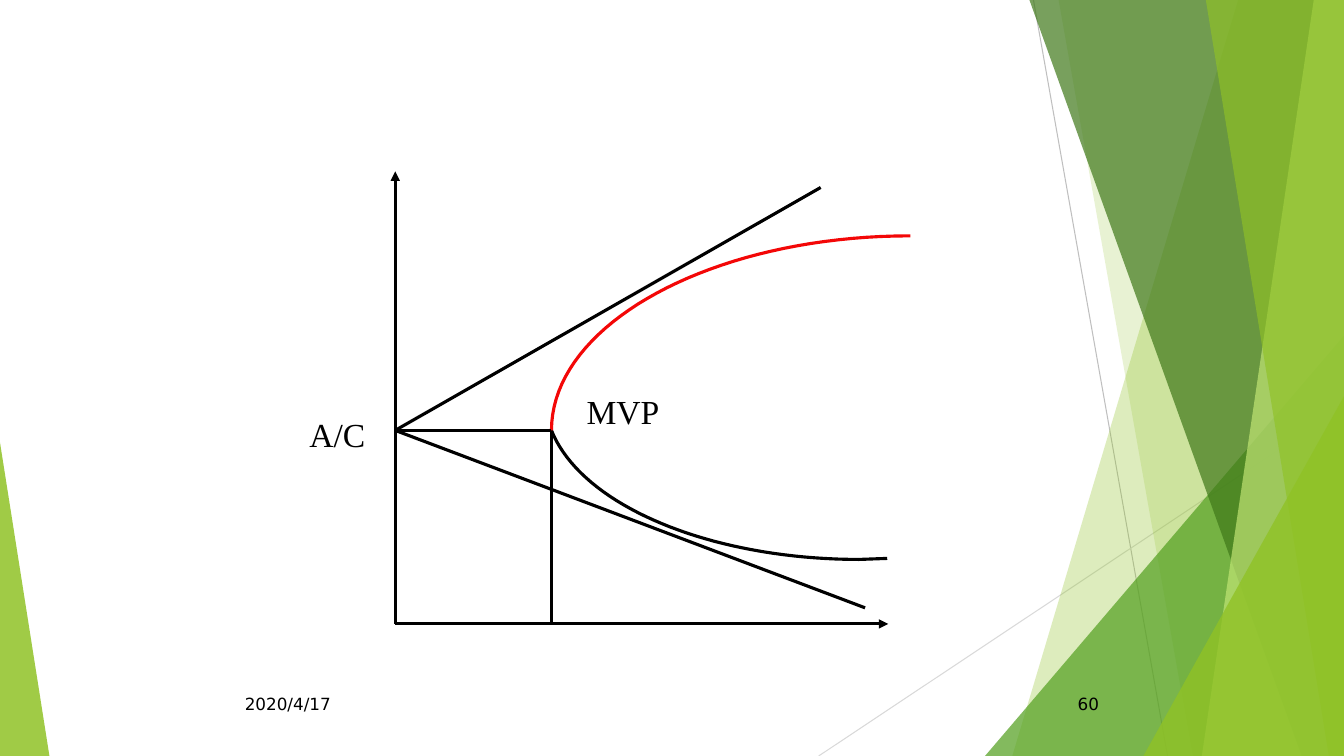
from lxml import etree
from pptx import Presentation
from pptx.dml.color import RGBColor
from pptx.enum.shapes import MSO_CONNECTOR, MSO_SHAPE
from pptx.enum.text import MSO_AUTO_SIZE, PP_ALIGN
from pptx.oxml.ns import qn
from pptx.util import Inches, Pt

STRAIGHT = MSO_CONNECTOR.STRAIGHT
TRIANGLE = MSO_SHAPE.ISOSCELES_TRIANGLE
FIT, FIXED = MSO_AUTO_SIZE.SHAPE_TO_FIT_TEXT, MSO_AUTO_SIZE.NONE
LEFT, RIGHT, JUSTIFY = PP_ALIGN.LEFT, PP_ALIGN.RIGHT, PP_ALIGN.JUSTIFY
SANS, SERIF = "DejaVu Sans", "Times New Roman"
COLORS = {
    "black": "000000", "red": "F30707", "grey": "BFBFBF", "pale": "D9D9D9",
    "lime": "90C226", "green": "54A021", "dark": "3F7819", "light": "C0E474",
}
WIDE, HIGH = 13.33, 7.5
STEPS = 40


def tint(name):
    """Return the named colour."""
    return RGBColor.from_string(COLORS[name])


def paint(shape, name, alpha):
    """Fill a shape with a see-through colour and no outline."""
    shape.shadow.inherit = False
    shape.line.fill.background()
    shape.fill.solid()
    shape.fill.fore_color.rgb = tint(name)
    color = shape.fill._xPr.find(qn("a:solidFill"))[0]
    etree.SubElement(color, qn("a:alpha")).set("val", str(alpha * 1000))


def add_line(slide, start, end, name="black", width=2.25, arrow=False):
    """Draw a straight line, with an arrowhead at its end if asked."""
    ends = [Inches(v) for v in (*start, *end)]
    line = slide.shapes.add_connector(STRAIGHT, *ends)
    line.line.color.rgb = tint(name)
    line.line.width = Pt(width)
    if arrow:
        tail = etree.SubElement(line.line._get_or_add_ln(), qn("a:tailEnd"))
        tail.set("type", "triangle")
    etree.SubElement(line._element.spPr, qn("a:effectLst"))


def add_path(slide, points, closed):
    """Build an outline through the points."""
    spots = [(Inches(x), Inches(y)) for x, y in points]
    pen = slide.shapes.build_freeform(*spots[0])
    pen.add_line_segments(spots[1:], close=closed)
    shape = pen.convert_to_shape()
    shape.shadow.inherit = False
    return shape


def add_band(slide, top, foot, name, alpha, right=WIDE):
    """Draw a band from a slanted left side to the slide's right edge."""
    points = [(top, 0), (right, 0), (right, HIGH), (foot, HIGH)]
    paint(add_path(slide, points, True), name, alpha)


def add_wedge(slide, left, top, width, apex, name, alpha):
    """Draw a right triangle standing on the slide's bottom edge."""
    box = [Inches(v) for v in (left, top, width, HIGH - top)]
    shape = slide.shapes.add_shape(TRIANGLE, *box)
    shape.adjustments[0] = apex
    paint(shape, name, alpha)


def bezier(a, b, c, d):
    """Return points along a cubic curve."""
    points = []
    for step in range(STEPS + 1):
        t = step / STEPS
        u = 1 - t
        parts = (u ** 3, 3 * u * u * t, 3 * u * t * t, t ** 3)
        points.append(tuple(
            sum(k * p[axis] for k, p in zip(parts, (a, b, c, d)))
            for axis in (0, 1)))
    return points


def add_curve(slide, points, name):
    """Draw an open curve."""
    shape = add_path(slide, points, False)
    shape.fill.background()
    shape.line.color.rgb = tint(name)
    shape.line.width = Pt(2.25)


def add_text(slide, text, box, size, font, align, wrap=True):
    """Place one line of text."""
    shape = slide.shapes.add_textbox(*[Inches(v) for v in box])
    frame = shape.text_frame
    frame.word_wrap = wrap
    frame.auto_size = FIXED if wrap else FIT
    para = frame.paragraphs[0]
    para.alignment = align
    run = para.add_run()
    run.text = text
    run.font.size = Pt(size)
    run.font.name = font
    run.font.color.rgb = tint("black")


def add_decor(slide):
    """Draw the green facets at both edges."""
    add_line(slide, (10.25, 0), (11.58, HIGH), "grey", 0.75)
    add_line(slide, (WIDE, 4.03), (8.12, HIGH), "pale", 0.75)
    add_band(slide, 12.28, 10.04, "lime", 30)
    add_band(slide, 10.5, 11.83, "lime", 20)
    add_wedge(slide, 9.77, 3.33, 3.56, 1, "green", 72)
    add_band(slide, 10.21, 12.91, "dark", 70)
    add_band(slide, 13.03, 11.92, "light", 70)
    add_band(slide, 11.96, 13.18, "lime", 65)
    add_wedge(slide, 11.34, 3.93, 1.99, 1, "lime", 80)
    add_wedge(slide, 0, 4.39, 0.49, 0, "lime", 85)


def add_graph(slide):
    """Draw the axes, the frontier, its asymptotes and the labels."""
    zero, start, turn = (3.92, 6.19), (3.92, 4.27), (5.47, 4.27)
    add_line(slide, start, (8.58, 6.03))
    add_line(slide, turn, (turn[0], zero[1]))
    add_line(slide, zero, (8.81, zero[1]), arrow=True)
    add_line(slide, zero, (zero[0], 1.7), arrow=True)
    lower = bezier((8.52, 5.55), (7.05, 5.55), (5.77, 5.02), turn)
    add_curve(slide, [(8.8, 5.54)] + lower, "black")
    upper = bezier((9.03, 2.34), (7.07, 2.34), (5.47, 3.21), turn)
    add_curve(slide, upper, "red")
    add_line(slide, start, turn)
    add_line(slide, start, (8.14, 1.86))
    add_text(slide, "MVP", (5.72, 3.83, 0.93, 0.5), 24, SERIF, JUSTIFY, False)
    add_text(slide, "A/C", (2.97, 4.06, 0.76, 0.5), 24, SERIF, JUSTIFY, False)


def main():
    """Build and save the slide."""
    deck = Presentation()
    deck.slide_width, deck.slide_height = Inches(WIDE), Inches(HIGH)
    slide = deck.slides.add_slide(deck.slide_layouts[6])
    add_decor(slide)
    add_text(slide, "2020/4/17", (2.33, 6.83, 2.17, 0.52), 12, SANS, LEFT)
    add_text(slide, "60", (8.83, 6.83, 2.17, 0.52), 12, SANS, RIGHT)
    add_graph(slide)
    deck.save("out.pptx")


if __name__ == "__main__":
    main()
